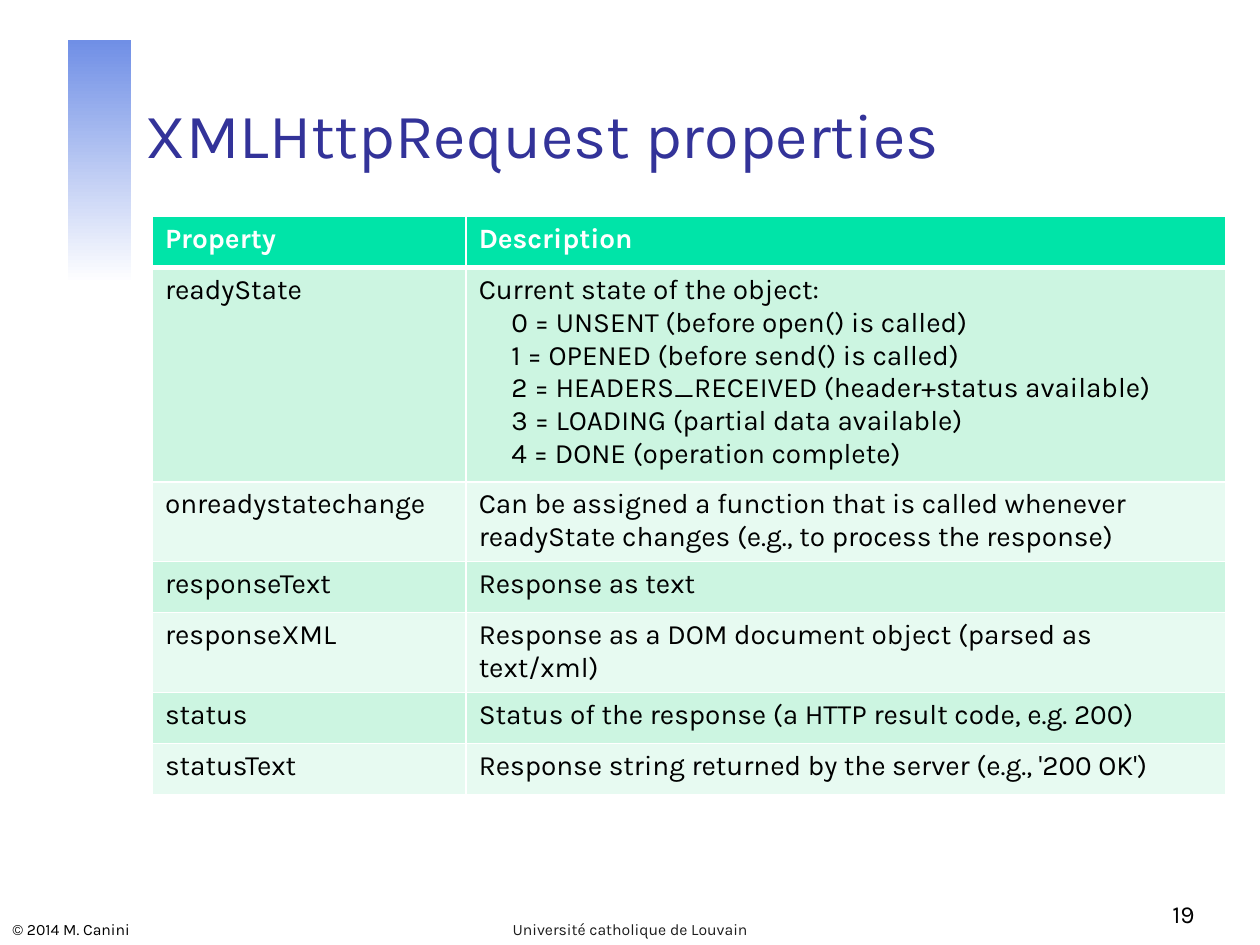
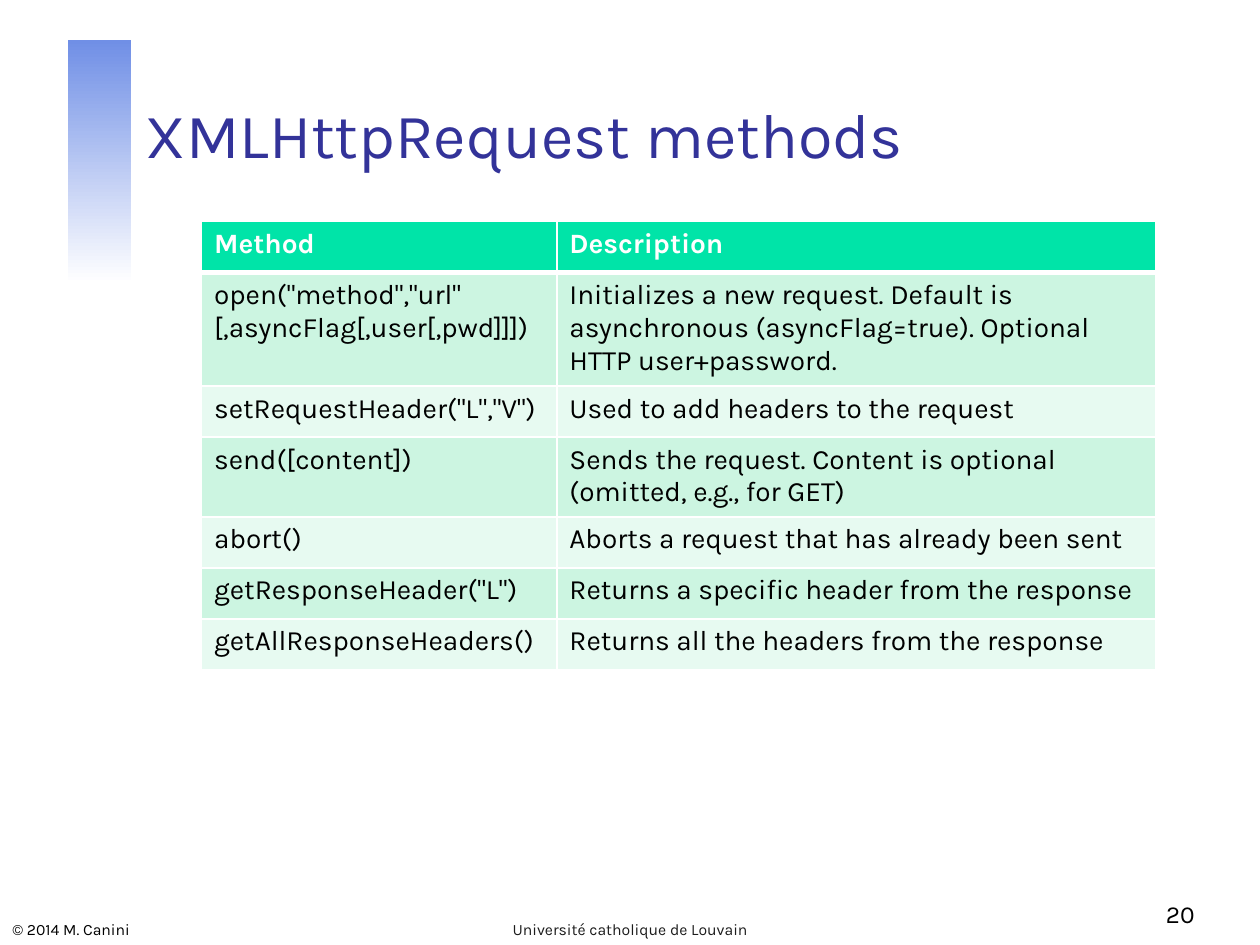
from lxml.etree import SubElement
from pptx import Presentation
from pptx.dml.color import RGBColor
from pptx.enum.shapes import MSO_SHAPE as Shape
from pptx.enum.text import MSO_ANCHOR as Anchor, PP_ALIGN as Align
from pptx.oxml.ns import qn
from pptx.util import Inches, Pt

# Shared style
FONT = "Karla"
WHITE = RGBColor(0xFF, 0xFF, 0xFF)
BLACK = RGBColor(0x00, 0x00, 0x00)
FOOTER_GREY = RGBColor(0x1C, 0x1C, 0x1C)
TITLE_BLUE = RGBColor(0x33, 0x33, 0x99)
BAND_BLUE = RGBColor(0x70, 0x8F, 0xE6)
HEADER_GREEN = RGBColor(0x00, 0xE4, 0xA8)
ROW_GREENS = (RGBColor(0xCC, 0xF5, 0xE1), RGBColor(0xE7, 0xFA, 0xF1))

# The slide is a grid of 100 columns and 75 rows
COLUMNS, ROWS = 100, 75
LINE_ROWS = 2.6       # one line of table text
PADDING_ROWS = 1.1    # cell margins above and below the text
MINIMUM_ROWS = 4.05   # shortest table row
STEP_INDENT = Inches(0.26)

COPYRIGHT = "© 2014 M. Canini"
UNIVERSITY = "Université catholique de Louvain"

# Table contents: name, description, lines the description takes
PROPERTIES = [
    ("Property", "Description", 1),
    ("readyState",
     "Current state of the object:\n"
     "0 = UNSENT (before open() is called)\n"
     "1 = OPENED (before send() is called)\n"
     "2 = HEADERS_RECEIVED (header+status available)\n"
     "3 = LOADING (partial data available)\n"
     "4 = DONE (operation complete)", 6),
    ("onreadystatechange",
     "Can be assigned a function that is called whenever "
     "readyState changes (e.g., to process the response)", 2),
    ("responseText", "Response as text", 1),
    ("responseXML",
     "Response as a DOM document object (parsed as text/xml)", 2),
    ("status", "Status of the response (a HTTP result code, e.g. 200)", 1),
    ("statusText",
     "Response string returned by the server (e.g., '200 OK')", 1),
]
METHODS = [
    ("Method", "Description", 1),
    ('open("method","url" [,asyncFlag[,user[,pwd]]])',
     "Initializes a new request. Default is asynchronous "
     "(asyncFlag=true). Optional HTTP user+password.", 3),
    ('setRequestHeader("L","V")', "Used to add headers to the request", 1),
    ("send([content])",
     "Sends the request. Content is optional (omitted, e.g., for GET)", 2),
    ("abort()", "Aborts a request that has already been sent", 1),
    ('getResponseHeader("L")',
     "Returns a specific header from the response", 1),
    ("getAllResponseHeaders()",
     "Returns all the headers from the response", 1),
]


class Deck:
    def __init__(self):
        self.presentation = Presentation()
        self.presentation.slide_width = Inches(10)
        self.presentation.slide_height = Inches(7.5)
        self.slide = None

    def across(self, columns):
        return round(self.presentation.slide_width * columns / COLUMNS)

    def down(self, rows):
        return round(self.presentation.slide_height * rows / ROWS)

    def box(self, left, top, width, height):
        return (self.across(left), self.down(top),
                self.across(width), self.down(height))

    def style(self, paragraph, size, color, bold=False, align=Align.LEFT):
        paragraph.alignment = align
        for run in paragraph.runs:
            run.font.name = FONT
            run.font.size = Pt(size)
            run.font.bold = bold
            run.font.color.rgb = color

    def text(self, text, box, size, color, align=Align.LEFT):
        text_frame = self.slide.shapes.add_textbox(*self.box(*box)).text_frame
        text_frame.word_wrap = True
        text_frame.vertical_anchor = Anchor.BOTTOM
        text_frame.text = text
        self.style(text_frame.paragraphs[0], size, color, align=align)

    def band(self):
        band = self.slide.shapes.add_shape(
            Shape.RECTANGLE, *self.box(5.4, 3.2, 5, 19.3))
        band.shadow.inherit = False
        band.line.fill.background()
        band.fill.gradient()
        band.fill.gradient_angle = 270
        for stop, color in zip(band.fill.gradient_stops, (BAND_BLUE, WHITE)):
            stop.color.rgb = color

    def new_slide(self, title, number):
        layout = self.presentation.slide_layouts[6]
        self.slide = self.presentation.slides.add_slide(layout)
        self.band()
        self.text(COPYRIGHT, (0, 72.2, 30.2, 2.8), 9, BLACK)
        self.text(title, (10.6, 3.3, 85.2, 10.8), 36, TITLE_BLUE)
        self.text(str(number), (75, 69.2, 20.8, 5), 14, BLACK, Align.RIGHT)
        self.text(UNIVERSITY, (34.2, 72.2, 31.6, 2.8), 9, FOOTER_GREY,
                  Align.CENTER)

    def borders(self, cell, top, bottom):
        # Border lines must stand before the fill of the cell
        properties = cell._tc.get_or_add_tcPr()
        sides = (("a:lnL", 1), ("a:lnR", 1), ("a:lnT", top), ("a:lnB", bottom))
        for position, (side, width) in enumerate(sides):
            line = SubElement(properties, qn(side), w=str(Pt(width)))
            fill = SubElement(line, qn("a:solidFill"))
            SubElement(fill, qn("a:srgbClr"), val=str(WHITE))
            properties.insert(position, line)

    def cell(self, cell, text, row):
        is_header = row == 0
        cell.fill.solid()
        cell.fill.fore_color.rgb = (
            HEADER_GREEN if is_header else ROW_GREENS[(row - 1) % 2])
        self.borders(cell, top=3 if row == 1 else 1,
                     bottom=3 if is_header else 1)
        cell.text_frame.text = text
        for index, paragraph in enumerate(cell.text_frame.paragraphs):
            if index:
                paragraph._p.get_or_add_pPr().set("marL", str(STEP_INDENT))
            self.style(paragraph, 16, WHITE if is_header else BLACK, is_header)

    def table(self, entries, left, top, widths):
        heights = [max(MINIMUM_ROWS, PADDING_ROWS + LINE_ROWS * lines)
                   for _, _, lines in entries]
        table = self.slide.shapes.add_table(
            len(entries), len(widths),
            *self.box(left, top, sum(widths), sum(heights))).table
        for column, width in zip(table.columns, widths):
            column.width = self.across(width)
        for row, (name, description, _) in enumerate(entries):
            table.rows[row].height = self.down(heights[row])
            self.cell(table.cell(row, 0), name, row)
            self.cell(table.cell(row, 1), description, row)


def main():
    deck = Deck()

    # Properties
    deck.new_slide("XMLHttpRequest properties", 19)
    deck.table(PROPERTIES, 12.1, 17.2, (24.9, 60.3))

    # Methods
    deck.new_slide("XMLHttpRequest methods", 20)
    deck.table(METHODS, 16, 17.6, (28.2, 47.5))

    deck.presentation.save("out.pptx")


if __name__ == "__main__":
    main()
